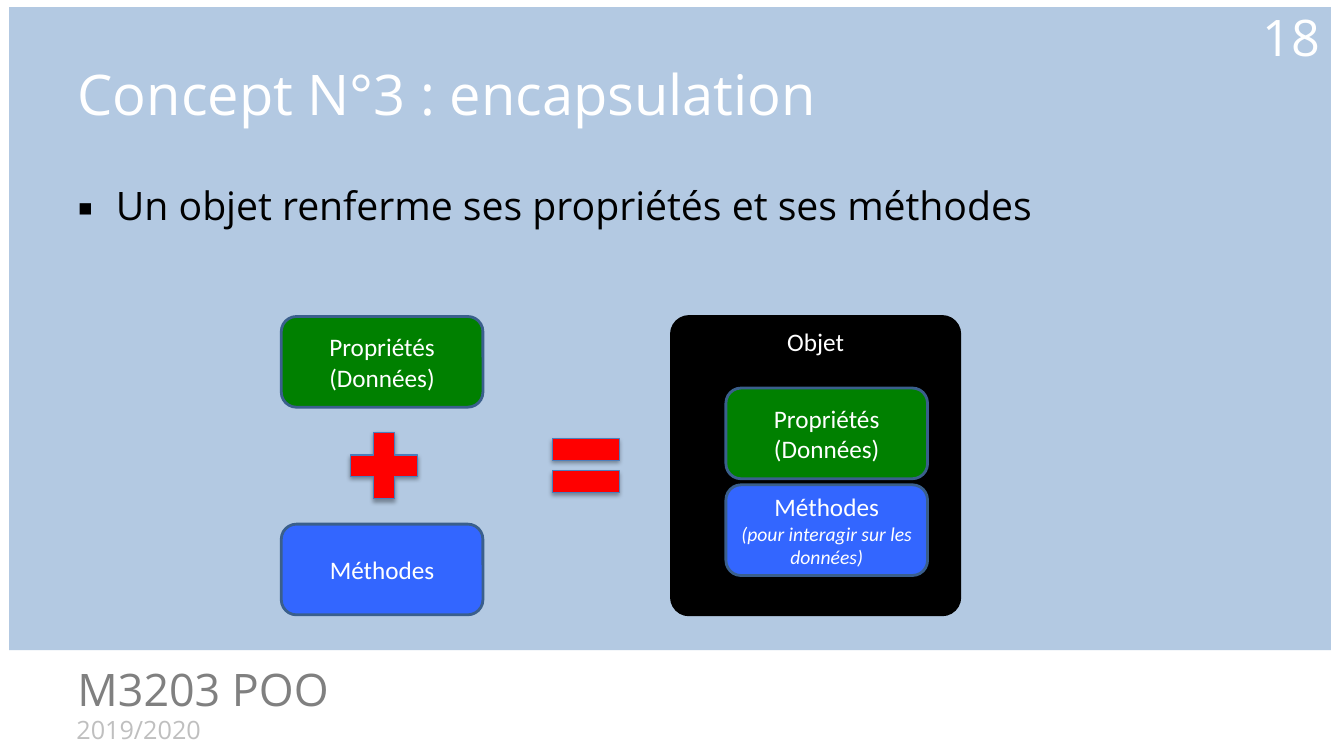
from dataclasses import dataclass
from typing import Optional

from lxml.etree import SubElement
from pptx import Presentation
from pptx.dml.color import RGBColor
from pptx.enum.shapes import MSO_SHAPE as Geometry
from pptx.enum.text import MSO_ANCHOR as Anchor, MSO_AUTO_SIZE as AutoSize, PP_ALIGN as Align
from pptx.oxml.ns import qn
from pptx.util import Inches, Pt


@dataclass(frozen=True)
class Theme:
    heading_font: str = "Open Sans"
    diagram_font: str = "Calibri"
    panel: str = "95B3D7"
    panel_alpha: int = 71
    white: str = "FFFFFF"
    black: str = "000000"
    course: str = "808080"
    year: str = "BFBFBF"
    properties: str = "008000"
    methods: str = "3366FF"
    box_line: str = "3A5F8C"
    operator: str = "FF0000"
    operator_line: str = "4B7EBC"
    title_size: int = 40
    number_size: int = 36
    course_size: int = 32
    body_size: int = 28
    label_size: int = 18
    note_size: int = 14


@dataclass(frozen=True)
class Area:
    left: float
    top: float
    width: float
    height: float

    def lengths(self) -> tuple:
        return tuple(map(Inches, (self.left, self.top, self.width, self.height)))


@dataclass(frozen=True)
class Box:
    area: Area
    label: str
    fill: str
    line: str
    note: str = ""
    anchor: Anchor = Anchor.MIDDLE
    corner: Optional[float] = None


@dataclass(frozen=True)
class Caption:
    area: Area
    text: str
    size: int
    color: str
    align: Align = Align.LEFT
    anchor: Anchor = Anchor.TOP


THEME = Theme()


def style_text(paragraph, font_name: str, size: int, color: str,
               align: Align, italic: bool = False) -> None:
    paragraph.alignment = align
    for run in paragraph.runs:
        run.font.name = font_name
        run.font.size = Pt(size)
        run.font.italic = italic
        run.font.color.rgb = RGBColor.from_string(color)


def add_figure(slide, geometry: Geometry, area: Area, fill: str,
               line: Optional[str] = None, line_width: float = 2):
    figure = slide.shapes.add_shape(geometry, *area.lengths())
    figure.shadow.inherit = False
    figure.fill.solid()
    figure.fill.fore_color.rgb = RGBColor.from_string(fill)
    if line:
        figure.line.color.rgb = RGBColor.from_string(line)
        figure.line.width = Pt(line_width)
    else:
        figure.line.fill.background()
    return figure


def add_alpha(color_element, percent: int) -> None:
    SubElement(color_element, qn("a:alpha"), val=str(percent * 1000))


def add_panel(slide) -> None:
    panel = add_figure(slide, Geometry.RECTANGLE, Area(0.09, 0.07, 13.11, 6.38), THEME.panel)
    add_alpha(next(panel.element.spPr.iter(qn("a:srgbClr"))), THEME.panel_alpha)
    # Behind the placeholders
    panel.element.getparent().insert(2, panel.element)


def add_box(slide, box: Box) -> None:
    figure = add_figure(slide, Geometry.ROUNDED_RECTANGLE, box.area, box.fill, box.line)
    if box.corner is not None:
        figure.adjustments[0] = box.corner
    frame = figure.text_frame
    frame.word_wrap = True
    frame.vertical_anchor = box.anchor
    frame.text = box.label
    style_text(frame.paragraphs[0], THEME.diagram_font, THEME.label_size,
               THEME.white, Align.CENTER)
    if box.note:
        note = frame.add_paragraph()
        note.text = box.note
        style_text(note, THEME.diagram_font, THEME.note_size,
                   THEME.white, Align.CENTER, italic=True)


def add_operator(slide, geometry: Geometry, area: Area) -> None:
    operator = add_figure(slide, geometry, area, THEME.operator, THEME.operator_line, 0.75)
    effects = operator.element.spPr.find(qn("a:effectLst"))
    shadow = SubElement(effects, qn("a:outerShdw"), blurRad=str(Pt(3.1)),
                        dist=str(Pt(1.8)), dir="5400000", rotWithShape="0")
    add_alpha(SubElement(shadow, qn("a:srgbClr"), val=THEME.black), 35)


def add_caption(slide, caption: Caption) -> None:
    frame = slide.shapes.add_textbox(*caption.area.lengths()).text_frame
    frame.word_wrap = True
    frame.vertical_anchor = caption.anchor
    frame.text = caption.text
    style_text(frame.paragraphs[0], THEME.heading_font, caption.size,
               caption.color, caption.align)


def fill_placeholder(placeholder, area: Area, text: str, size: int,
                     color: str, anchor: Anchor):
    placeholder.left, placeholder.top, placeholder.width, placeholder.height = area.lengths()
    frame = placeholder.text_frame
    frame.text = text
    frame.auto_size = AutoSize.NONE
    frame.vertical_anchor = anchor
    paragraph = frame.paragraphs[0]
    paragraph.space_before = Pt(0)
    style_text(paragraph, THEME.heading_font, size, color, Align.LEFT)
    return paragraph


def add_bullet(paragraph, symbol: str, indent: float) -> None:
    properties = paragraph._p.get_or_add_pPr()
    properties.set("marL", str(Inches(indent)))
    properties.set("indent", str(-Inches(indent)))
    SubElement(properties, qn("a:buFont"), typeface=THEME.heading_font)
    SubElement(properties, qn("a:buChar"), char=symbol)


def main() -> None:
    deck = Presentation()
    deck.slide_width, deck.slide_height = Inches(13.33), Inches(7.5)
    slide = deck.slides.add_slide(deck.slide_layouts[1])
    add_panel(slide)

    # Title and statement
    fill_placeholder(slide.shapes.title, Area(0.67, 0.3, 12, 1.25),
                     "Concept N°3 : encapsulation", THEME.title_size,
                     THEME.white, Anchor.MIDDLE)
    statement = fill_placeholder(slide.placeholders[1], Area(0.67, 1.75, 12, 4.57),
                                 "Un objet renferme ses propriétés et ses méthodes",
                                 THEME.body_size, THEME.black, Anchor.TOP)
    add_bullet(statement, "▪", 0.38)

    # Footer and page number
    for caption in (
        Caption(Area(0.66, 7.04, 5.33, 0.4), "2019/2020", THEME.label_size, THEME.year),
        Caption(Area(0.67, 6.52, 6.83, 0.64), "M3203 POO", THEME.course_size, THEME.course),
        Caption(Area(11.5, 0.07, 1.69, 0.58), "18", THEME.number_size, THEME.white,
                Align.RIGHT, Anchor.MIDDLE),
    ):
        add_caption(slide, caption)

    # Separate parts, then the object that holds them
    parts_left, inner_left, width, height = 2.79, 7.2, 2, 0.9
    properties, methods = "Propriétés (Données)", "Méthodes"
    for box in (
        Box(Area(parts_left, 3.14, width, height), properties, THEME.properties, THEME.box_line),
        Box(Area(parts_left, 5.2, width, height), methods, THEME.methods, THEME.box_line),
        Box(Area(6.66, 3.14, 2.86, 2.96), "Objet", THEME.black, THEME.black,
            anchor=Anchor.TOP, corner=0.061),
        Box(Area(inner_left, 3.85, width, height), properties, THEME.properties, THEME.box_line),
        Box(Area(inner_left, 4.81, width, height), methods, THEME.methods, THEME.box_line,
            note="(pour interagir sur les données)"),
    ):
        add_box(slide, box)

    # Plus and equals signs
    for geometry, left in ((Geometry.MATH_PLUS, 3.36), (Geometry.MATH_EQUAL, 5.36)):
        add_operator(slide, geometry, Area(left, 4.17, 0.9, 0.9))

    deck.save("out.pptx")


if __name__ == "__main__":
    main()
